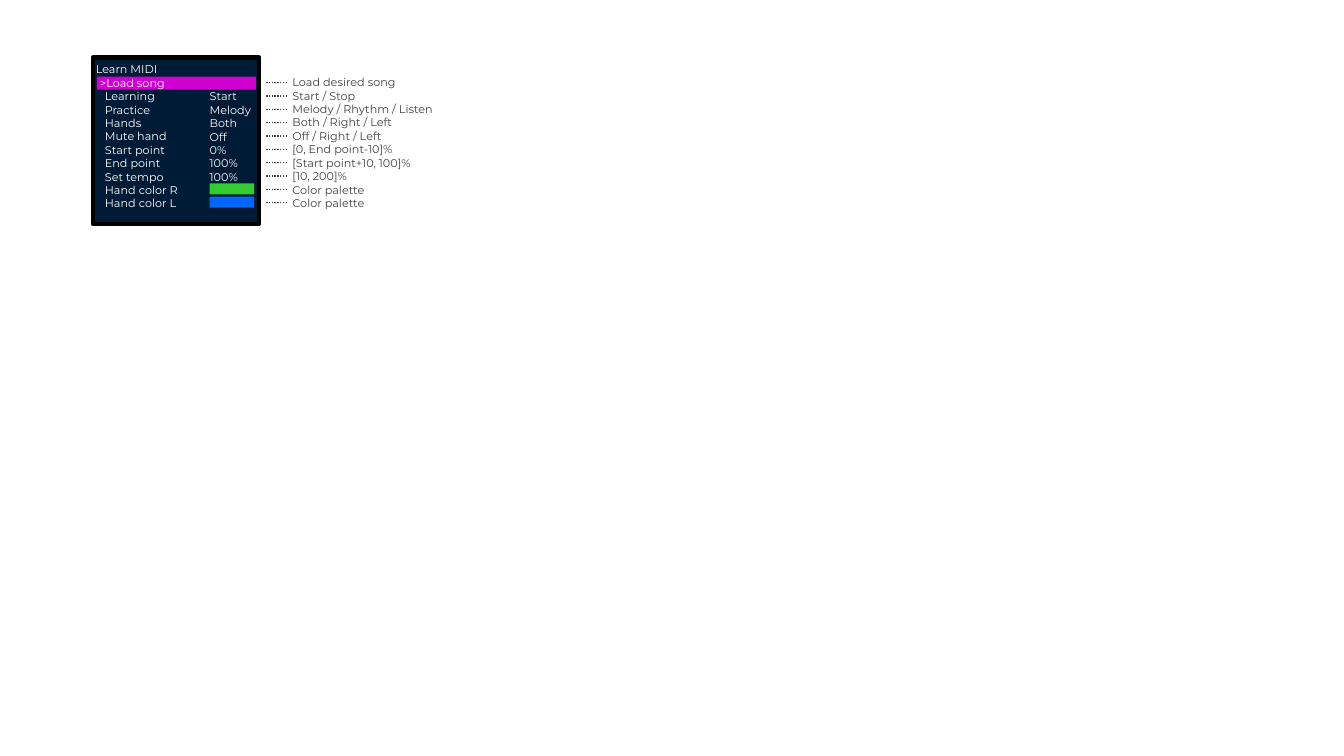
from pptx import Presentation
from pptx.dml.color import RGBColor
from pptx.enum import dml, shapes, text
from pptx.oxml import ns
from pptx.util import Inches, Pt
from lxml import etree

TITLE = "Learn MIDI"
SELECTED = ">Load song"
# menu label, current value, hint about the choices
SETTINGS = [
    ("Learning", "Start", "Start / Stop"),
    ("Practice", "Melody", "Melody / Rhythm / Listen"),
    ("Hands", "Both", "Both / Right / Left"),
    ("Mute hand", "Off", "Off / Right / Left"),
    ("Start point", "0%", "[0, End point-10]%"),
    ("End point", "100%", "[Start point+10, 100]%"),
    ("Set tempo", "100%", "[10, 200]%"),
    ("Hand color R", None, "Color palette"),
    ("Hand color L", None, "Color palette"),
]
HAND_COLORS = ["33CC33", "0066FF"]
HINTS = ["Load desired song"] + [hint for _, _, hint in SETTINGS]
LABELS = [label for label, _, _ in SETTINGS]
VALUES = [value for _, value, _ in SETTINGS if value]

WHITE, GREY = "FFFFFF", "404040"
FONT, SIZE = "Montserrat", 8
LINE_HEIGHT = 9.75  # points taken by one menu row
FIRST_LEADER, LAST_LEADER = 0.82, 2.01

deck = Presentation()
deck.slide_width, deck.slide_height = Inches(13.33), Inches(7.5)
slide = deck.slides.add_slide(deck.slide_layouts[6])


def rgb(value):
    """Turn a hex string into a colour."""
    return RGBColor.from_string(value)


def write(part, lines, color, indents=(), inset=0):
    """Fill a part with left-aligned lines, each with its own indent."""
    frame = part.text_frame
    frame.word_wrap = True
    frame.margin_left = frame.margin_right = 0
    frame.margin_top = frame.margin_bottom = Inches(inset)
    frame.vertical_anchor = text.MSO_ANCHOR.TOP
    frame.text = "\n".join(lines)
    for paragraph in frame.paragraphs:
        paragraph.alignment = text.PP_ALIGN.LEFT
        paragraph.font.name, paragraph.font.size = FONT, Pt(SIZE)
        paragraph.font.color.rgb = rgb(color)
    for paragraph, indent in zip(frame.paragraphs, indents):
        paragraph._p.get_or_add_pPr().set("marL", str(Inches(indent)))
    return frame


def add_box(left, top, width, height, fill):
    """Add a plain filled rectangle without an outline."""
    box = slide.shapes.add_shape(
        shapes.MSO_SHAPE.RECTANGLE,
        Inches(left), Inches(top), Inches(width), Inches(height))
    box.shadow.inherit = False
    box.fill.solid()
    box.fill.fore_color.rgb = rgb(fill)
    box.line.fill.background()
    return box


def add_column(left, top, width, height, lines, color):
    """Add a text column with one line per menu row."""
    column = slide.shapes.add_textbox(
        Inches(left), Inches(top), Inches(width), Inches(height))
    write(column, lines, color)


def add_leader(y):
    """Add a dotted line from the screen to its hint."""
    leader = slide.shapes.add_connector(
        shapes.MSO_CONNECTOR.STRAIGHT,
        Inches(2.64), Inches(y), Inches(2.86), Inches(y))
    leader.line.color.rgb = rgb(GREY)
    leader.line.width = Pt(1)
    leader.line.dash_style = dml.MSO_LINE.ROUND_DOT
    etree.SubElement(leader._element.spPr, ns.qn("a:effectLst"))


screen = add_box(0.92, 0.57, 1.65, 1.65, "001B36")
screen.line.color.rgb = rgb("000000")
screen.line.width = Pt(3)
menu = write(screen, [TITLE] + LABELS, WHITE,
             [0.03] + [0.12] * len(LABELS), inset=0.05)
menu.paragraphs[1].space_before = Pt(LINE_HEIGHT)  # room for the selected row

add_column(2.08, 0.89, 0.46, 0.97, VALUES, WHITE)
for row, color in enumerate(HAND_COLORS):
    add_box(2.08, 1.82 + 0.13 * row, 0.44, 0.11, color)

add_column(2.9, 0.75, 1.65, 1.37, HINTS, GREY)
leader_gap = (LAST_LEADER - FIRST_LEADER) / (len(HINTS) - 1)
for row in range(len(HINTS)):
    add_leader(FIRST_LEADER + row * leader_gap)

selection = add_box(0.96, 0.76, 1.58, 0.13, "D000D0")
write(selection, [SELECTED], WHITE, [0.03]).vertical_anchor = text.MSO_ANCHOR.MIDDLE

deck.save("out.pptx")
